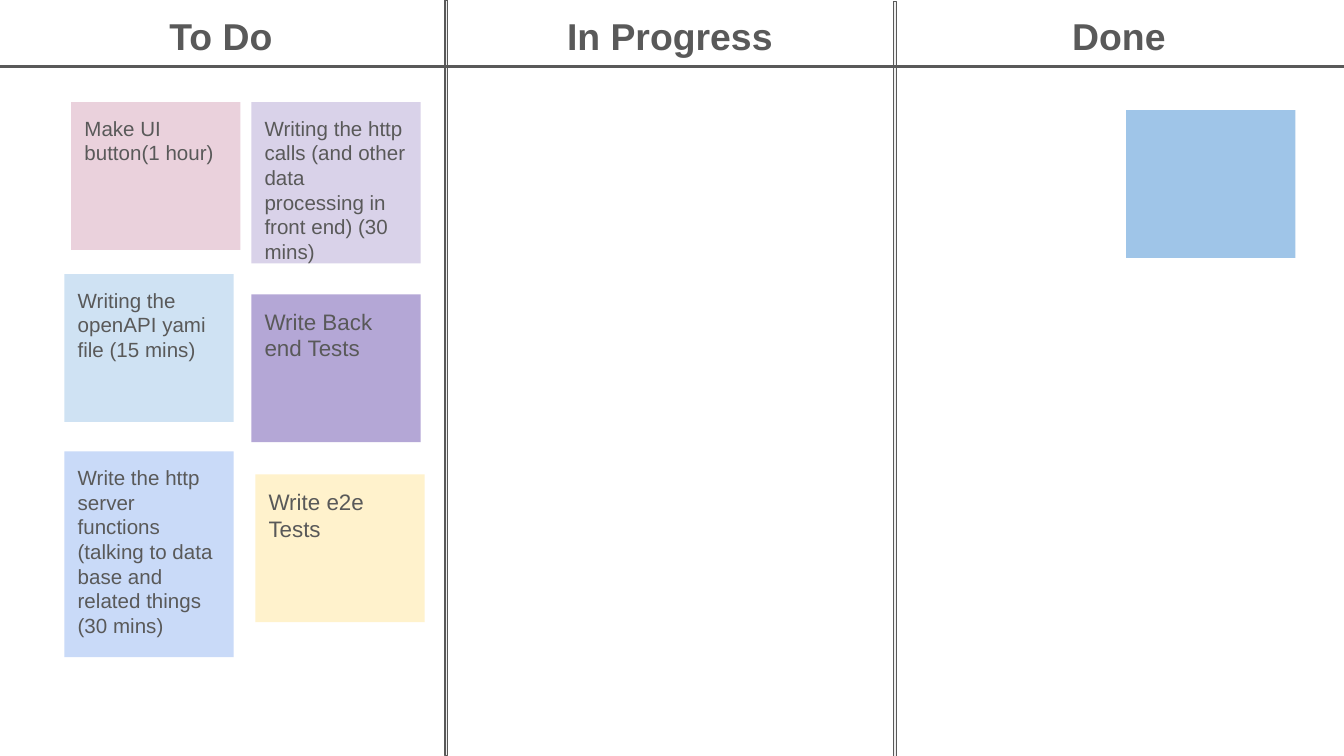
"""Build a three-column task board with sticky notes."""
import pptx
import pptx.util
import pptx.dml.color
import pptx.enum.shapes
import pptx.enum.text

Inches = pptx.util.Inches
RECTANGLE = pptx.enum.shapes.MSO_SHAPE.RECTANGLE
TOP = pptx.enum.text.MSO_ANCHOR.TOP
LEFT = pptx.enum.text.PP_ALIGN.LEFT
CENTER = pptx.enum.text.PP_ALIGN.CENTER
GRAY = "595959"


def paint(color_format, color):
    color_format.rgb = pptx.dml.color.RGBColor.from_string(color)


def write(box, text, size, align, bold=False):
    frame = box.text_frame
    frame.word_wrap = True
    frame.vertical_anchor = TOP
    frame.margin_left = frame.margin_right = Inches(0.1)
    frame.margin_top = frame.margin_bottom = Inches(0.1)
    frame.text = text
    paragraph = frame.paragraphs[0]
    paragraph.alignment = align
    for run in paragraph.runs:
        run.font.name = "Arial"
        run.font.size = pptx.util.Pt(size)
        run.font.bold = bold
        paint(run.font.color, GRAY)


board = pptx.Presentation()
board.slide_width = Inches(10)
board.slide_height = Inches(10 * 9 / 16)
slide = board.slides.add_slide(board.slide_layouts[6])

dividers = [
    (3.31, 0, 0.02, 5.62),
    (6.65, 0.01, 0.02, 5.62),
    (0, 0.49, 10, 0.01),
]
for bounds in dividers:
    divider = slide.shapes.add_shape(RECTANGLE, *map(Inches, bounds))
    divider.shadow.inherit = False
    divider.fill.solid()
    paint(divider.fill.fore_color, "EEEEEE")
    paint(divider.line.color, GRAY)
    divider.line.width = pptx.util.Pt(0.75)

for column, heading in enumerate(["To Do", "In Progress", "Done"]):
    header = slide.shapes.add_textbox(
        Inches(0.21 + 3.34 * column), 0, Inches(2.87), Inches(0.52)
    )
    write(header, heading, 20, CENTER, bold=True)

notes = [
    (0.53, 0.76, 1.1, "EAD1DC", 11, "Make UI button(1 hour)"),
    (1.87, 0.76, 1.2, "D9D2E9", 11,
     "Writing the http calls (and other data processing in front end) (30 mins)"),
    (0.48, 2.04, 1.1, "CFE2F3", 11, "Writing the openAPI yami file (15 mins)"),
    (0.48, 3.36, 1.53, "C9DAF8", 11,
     "Write the http server functions (talking to data base and related things (30 mins)"),
    (1.9, 3.53, 1.1, "FFF2CC", 12, "Write e2e Tests"),
    (1.87, 2.19, 1.1, "B4A7D6", 12, "Write Back end Tests"),
    (8.38, 0.82, 1.1, "9FC5E8", 12, ""),
]
for left, top, height, color, size, task in notes:
    note = slide.shapes.add_shape(
        RECTANGLE, Inches(left), Inches(top), Inches(1.26), Inches(height)
    )
    note.shadow.inherit = False
    note.fill.solid()
    paint(note.fill.fore_color, color)
    note.line.fill.background()
    if task:
        write(note, task, size, LEFT)

board.save("out.pptx")
